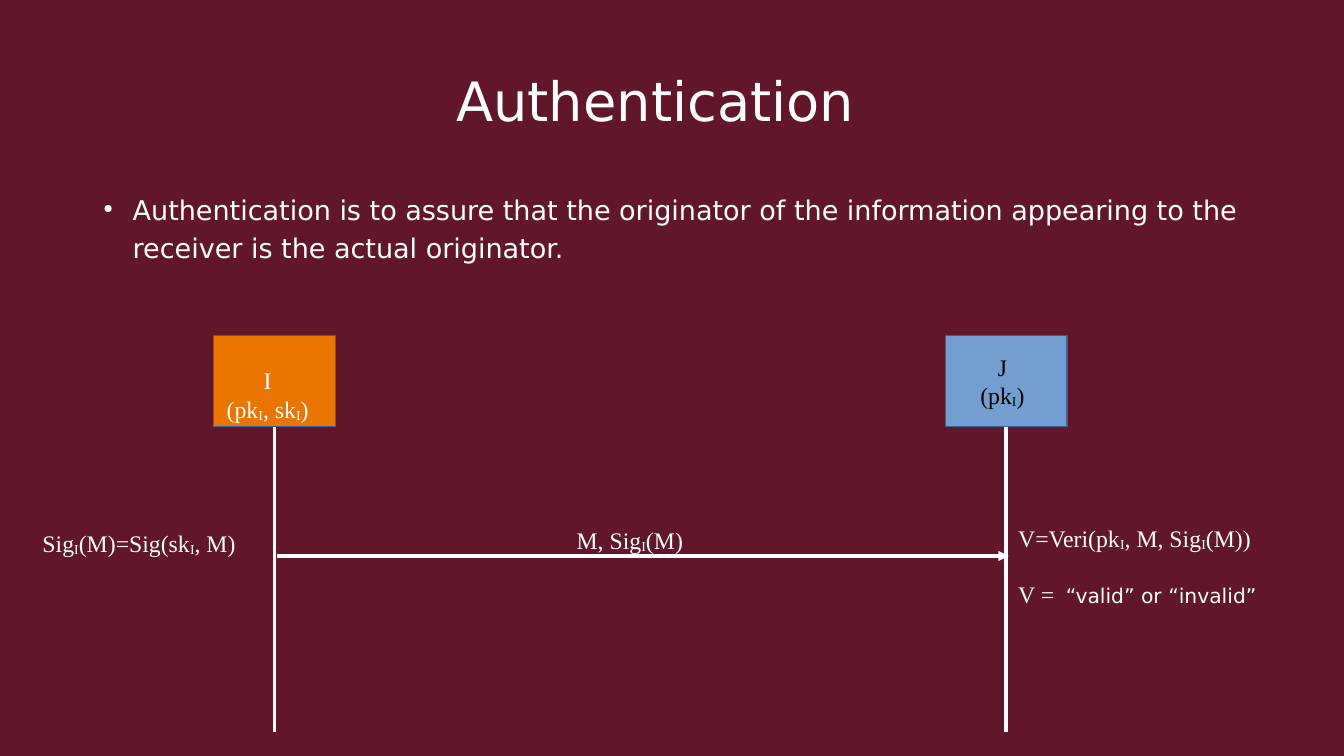
from lxml import etree
from pptx import Presentation
from pptx.dml.color import RGBColor
from pptx.enum.shapes import MSO_CONNECTOR, MSO_SHAPE
from pptx.enum.text import MSO_ANCHOR, PP_ALIGN
from pptx.oxml.ns import qn
from pptx.util import Inches, Pt

BACKGROUND = RGBColor(0x61, 0x17, 0x29)
WHITE = RGBColor(0xFF, 0xFF, 0xFF)
BLACK = RGBColor(0, 0, 0)
ORANGE = RGBColor(0xEA, 0x75, 0x00)
BLUE = RGBColor(0x72, 0x9F, 0xCF)
OUTLINE = RGBColor(0x34, 0x65, 0xA4)
SANS = "DejaVu Sans"
SERIF = "Times New Roman"
LEFT, CENTER = PP_ALIGN.LEFT, PP_ALIGN.CENTER
TOP, MIDDLE, BOTTOM = MSO_ANCHOR.TOP, MSO_ANCHOR.MIDDLE, MSO_ANCHOR.BOTTOM
RECTANGLE = MSO_SHAPE.RECTANGLE
STRAIGHT = MSO_CONNECTOR.STRAIGHT


def add_span(para, text, size, font, color):
    span = para.add_run()
    span.text = text
    span.font.size = Pt(size)
    span.font.name = font
    span.font.color.rgb = color
    return span


def add_formula(para, formula, color=WHITE):
    for index, part in enumerate(formula.split("_")):
        if index:
            subscript = add_span(para, part[0], 14, SERIF, color)
            subscript.font._element.set("baseline", "-8000")
            part = part[1:]
        if part:
            add_span(para, part, 14, SERIF, color)


def add_text_box(page, left, top, width, height, align=LEFT):
    box = page.shapes.add_textbox(Inches(left), Inches(top), Inches(width), Inches(height))
    box.text_frame.word_wrap = True
    para = box.text_frame.paragraphs[0]
    para.alignment = align
    return box, para


def add_label(page, left, top, width, height, formula):
    box, para = add_text_box(page, left, top, width, height)
    add_formula(para, formula)
    return box


def add_bullet(para):
    properties = para._p.get_or_add_pPr()
    properties.set("marL", str(Inches(0.24)))
    properties.set("indent", str(-Inches(0.24)))
    color = etree.SubElement(properties, qn("a:buClr"))
    etree.SubElement(color, qn("a:srgbClr"), val=str(WHITE))
    etree.SubElement(properties, qn("a:buSzPct"), val="45000")
    etree.SubElement(properties, qn("a:buChar"), char="●")


def add_tab_stop(para, position):
    tabs = etree.SubElement(para._p.get_or_add_pPr(), qn("a:tabLst"))
    etree.SubElement(tabs, qn("a:tab"), pos=str(Inches(position)), algn="l")


def add_party(page, left, fill, color, name, keys, anchor, margins):
    party = page.shapes.add_shape(RECTANGLE, Inches(left), Inches(2.75), Inches(1), Inches(0.75))
    party.shadow.inherit = False
    party.fill.solid()
    party.fill.fore_color.rgb = fill
    party.line.color.rgb = OUTLINE
    party.line.width = Pt(0)
    frame = party.text_frame
    frame.word_wrap = True
    frame.vertical_anchor = anchor
    frame.margin_left, frame.margin_right, frame.margin_bottom = map(Inches, margins)
    for para, formula in ((frame.paragraphs[0], name), (frame.add_paragraph(), keys)):
        para.alignment = CENTER
        add_formula(para, formula, color)


def add_line(page, start, end, arrow=False):
    line = page.shapes.add_connector(STRAIGHT, *map(Inches, start + end))
    line.line.color.rgb = WHITE
    line.line.width = Pt(0)
    if arrow:
        etree.SubElement(line.line._get_or_add_ln(), qn("a:tailEnd"), type="triangle")
    etree.SubElement(line._element.spPr, qn("a:effectLst"))


def main():
    deck = Presentation()
    deck.slide_width, deck.slide_height = Inches(11.02), Inches(6.2)
    page = deck.slides.add_slide(deck.slide_layouts[6])
    page.background.fill.solid()
    page.background.fill.fore_color.rgb = BACKGROUND

    _, title = add_text_box(page, 1, 0.5, 8.75, 0.75, CENTER)
    add_span(title, "Authentication", 32, SANS, WHITE)

    _, definition = add_text_box(page, 0.75, 1.5, 9.5, 0.65)
    definition.line_spacing = 1.15
    add_bullet(definition)
    add_span(definition, "Authentication is to assure that the originator of the information "
             "appearing to the receiver is the actual originator.", 16, SANS, WHITE)

    add_party(page, 1.75, ORANGE, WHITE, "I", "(pk_I, sk_I)", BOTTOM, (0.04, 0.15, 0.03))
    add_party(page, 7.75, BLUE, BLACK, "J", "(pk_I)", MIDDLE, (0.1, 0.16, 0.05))
    for lifeline in (2.25, 8.25):
        add_line(page, (lifeline, 3.5), (lifeline, 6))

    add_label(page, 0.25, 4.29, 2.25, 0.46, "Sig_I(M)=Sig(sk_I, M)")
    add_label(page, 4.63, 4.26, 1.37, 0.49, "M, Sig_I(M)")
    add_line(page, (2.27, 4.56), (8.27, 4.56), arrow=True)

    verification = add_label(page, 8.25, 4.25, 2.25, 0.89, "V=Veri(pk_I, M, Sig_I(M))")
    verdict = verification.text_frame.add_paragraph()
    verdict.space_before = Pt(16)
    add_tab_stop(verdict, 0.39)
    add_formula(verdict, "V =\t")
    add_span(verdict, "“valid” or “invalid”", 12, SANS, WHITE)

    deck.save("out.pptx")


if __name__ == "__main__":
    main()
